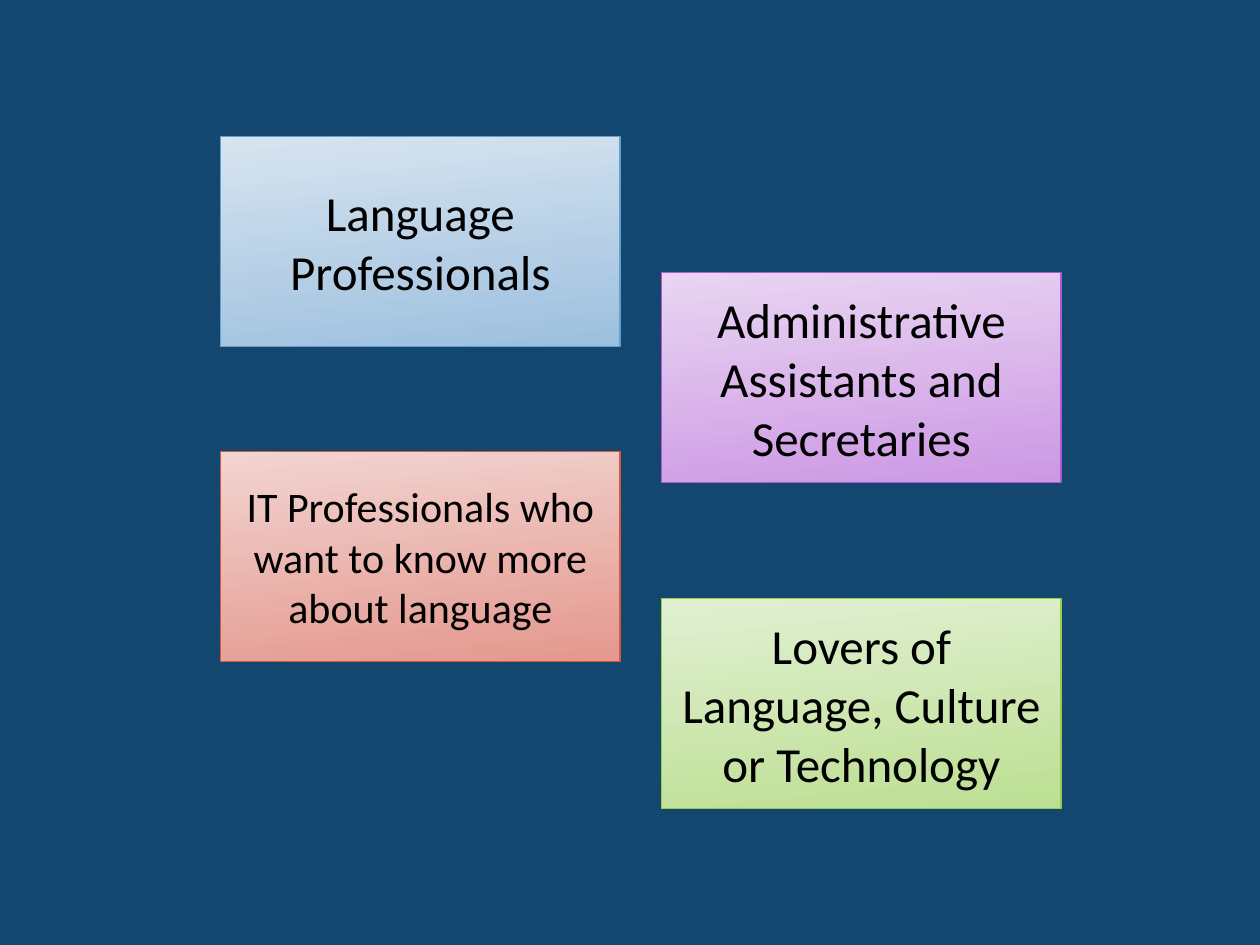
from pptx import Presentation
from pptx import util as u
from pptx.dml.color import RGBColor
from pptx.enum import shapes, text

# Each audience has a line colour and a light-to-dark gradient
COLOURS = {
    "background": "134770",
    "text": "000000",
    "green": ("9ACD4C", "E1F0D2", "BCDF93"),
    "blue": ("63A0CC", "D7E4F0", "9DC0DF"),
    "purple": ("B258D3", "E9D5F2", "CC98E4"),
    "red": ("D35940", "F2D4D1", "E4988E"),
}
LEFT_COLUMN, RIGHT_COLUMN = 4.45, 13.34
CARD_WIDTH, CARD_HEIGHT = 8.05, 4.23


class AudienceSlide:
    """Holds the style and the current slide."""

    font = "Calibri"
    gradient_angle = 276  # counter-clockwise, so the shade runs downwards

    def __init__(self, presentation):
        self.slide = presentation.slides.add_slide(presentation.slide_layouts[6])
        backdrop = self.slide.background.fill
        backdrop.solid()
        backdrop.fore_color.rgb = RGBColor.from_string(COLOURS["background"])

    def card(self, wording, left, top, colour, size=28):
        outline, light, dark = COLOURS[colour]
        card = self.slide.shapes.add_shape(
            shapes.MSO_SHAPE.RECTANGLE,
            u.Cm(left), u.Cm(top), u.Cm(CARD_WIDTH), u.Cm(CARD_HEIGHT))
        card.shadow.inherit = False
        card.line.color.rgb = RGBColor.from_string(outline)
        card.line.width = u.Pt(0.75)

        card.fill.gradient()
        card.fill.gradient_angle = self.gradient_angle
        for stop, shade, position in zip(card.fill.gradient_stops, (light, dark), (0, 1)):
            stop.color.rgb = RGBColor.from_string(shade)
            stop.position = position

        frame = card.text_frame
        frame.text = wording
        frame.word_wrap = True
        frame.vertical_anchor = text.MSO_ANCHOR.MIDDLE
        label = frame.paragraphs[0]
        label.alignment = text.PP_ALIGN.CENTER
        for run in label.runs:
            run.font.name = self.font
            run.font.size = u.Pt(size)
            run.font.color.rgb = RGBColor.from_string(COLOURS["text"])


def main():
    presentation = Presentation()
    presentation.slide_width, presentation.slide_height = u.Cm(25.4), u.Cm(19.05)
    audience = AudienceSlide(presentation)

    # Staggered cards in two columns
    audience.card("Lovers of Language, Culture or Technology", RIGHT_COLUMN, 12.07, "green")
    audience.card("Language Professionals", LEFT_COLUMN, 2.75, "blue")
    audience.card("Administrative Assistants and Secretaries", RIGHT_COLUMN, 5.5, "purple")
    audience.card("IT Professionals who want to know more about language",
                  LEFT_COLUMN, 9.1, "red", size=24)

    presentation.save("out.pptx")


if __name__ == "__main__":
    main()
